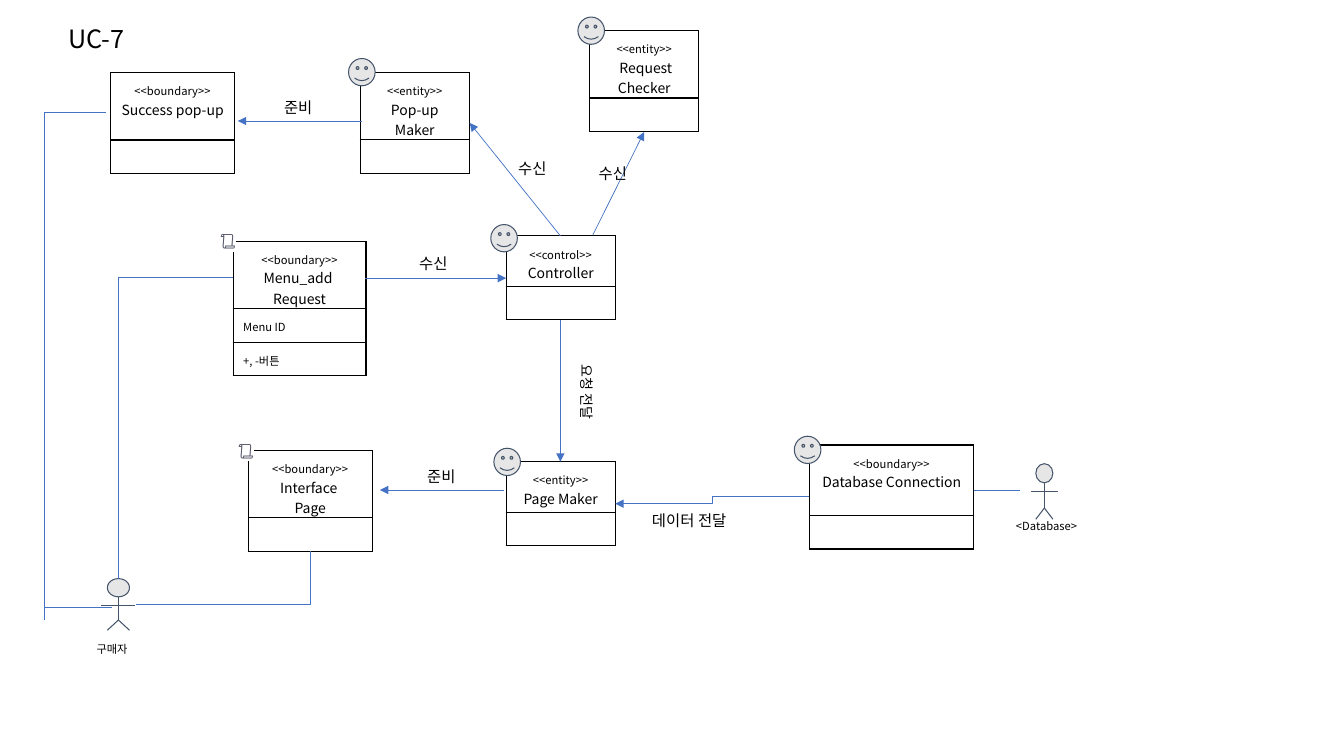
from dataclasses import dataclass

from lxml import etree
from pptx import Presentation
from pptx.dml.color import RGBColor
from pptx.enum import shapes, text
from pptx.oxml.ns import qn
from pptx.util import Pt


@dataclass(frozen=True)
class Theme:
    font: str = "Noto Sans CJK KR"
    ink: str = "000000"
    paper: str = "FFFFFF"
    flow: str = "4472C4"
    edge: str = "44546A"
    face: str = "E7E6E6"
    icon: str = "515365"
    title: int = 18
    sign: int = 12
    label: int = 11
    name: int = 10
    small: int = 8
    thin: float = 0.5
    limb: float = 0.75
    rule: int = 1


T = Theme()
LEFT, MID = text.PP_ALIGN.LEFT, text.PP_ALIGN.CENTER
KIND = shapes.MSO_SHAPE
WIRE = shapes.MSO_CONNECTOR


def rgb(code):
    return RGBColor.from_string(code)


def add(parent, tag, **attrs):
    return etree.SubElement(parent, qn(tag), attrs)


# Text
def write(para, words, size=T.small, color=T.ink, align=LEFT, mark=None):
    para.alignment = align
    run = para.add_run()
    run.text = words
    run.font.size = Pt(size)
    run.font.color.rgb = rgb(color)
    run.font.name = T.font
    props = run._r.get_or_add_rPr()
    if mark:
        glow = etree.Element(qn("a:highlight"))
        add(glow, "a:srgbClr", val=mark)
        props.find(qn("a:solidFill")).addnext(glow)
    for tag in ("a:ea", "a:cs"):
        add(props, tag, typeface=T.font)


def label(slide, words, x, y, w, h, turn=0, **form):
    box = slide.shapes.add_textbox(Pt(x), Pt(y), Pt(w), Pt(h))
    box.rotation = turn
    frame = box.text_frame
    frame.word_wrap = True
    frame.auto_size = text.MSO_AUTO_SIZE.SHAPE_TO_FIT_TEXT
    write(frame.paragraphs[0], words, **form)


# Class boxes
def border(cell):
    props = cell._tc.get_or_add_tcPr()
    for i, side in enumerate(("a:lnL", "a:lnR", "a:lnT", "a:lnB")):
        line = etree.Element(qn(side), w=str(Pt(T.rule)))
        add(add(line, "a:solidFill"), "a:srgbClr", val=T.ink)
        props.insert(i, line)


def card(slide, kind, names, x, y, w, head=48, rows=("",)):
    high = [head] + [24] * len(rows)
    frame = slide.shapes.add_table(len(high), 1, Pt(x), Pt(y), Pt(w), Pt(sum(high)))
    table = frame.table
    table.first_row = table.horz_banding = False
    table.columns[0].width = Pt(w)
    for i, size in enumerate(high):
        table.rows[i].height = Pt(size)
        cell = table.cell(i, 0)
        cell.fill.background()
        cell.margin_top, cell.margin_bottom = Pt(7.2), Pt(0)
        border(cell)
        para = cell.text_frame.paragraphs[0]
        if i:
            para.font.size = Pt(T.small)
            if rows[i - 1]:
                write(para, rows[i - 1])
        else:
            write(para, f"<<{kind}>>", align=MID)
            for name in names:
                write(cell.text_frame.add_paragraph(), name, size=T.name, align=MID)


# Shapes and lines
def shape(slide, kind, x, y, w, h):
    item = slide.shapes.add_shape(kind, Pt(x), Pt(y), Pt(w), Pt(h))
    item.shadow.inherit = False
    item.fill.solid()
    item.fill.fore_color.rgb = rgb(T.face)
    item.line.color.rgb = rgb(T.edge)
    item.line.width = Pt(T.limb)
    return item


def smile(slide, x, y):
    shape(slide, KIND.SMILEY_FACE, x, y, 19, 19.5).adjustments[0] = 0.047


def line(slide, a, b, color=T.flow, width=T.thin, arrow=False, bend=None):
    kind = WIRE.ELBOW if bend else WIRE.STRAIGHT
    wire = slide.shapes.add_connector(kind, *(Pt(v) for v in (*a, *b)))
    wire.line.color.rgb = rgb(color)
    wire.line.width = Pt(width)
    props = wire._element.spPr
    if bend:
        props.find(qn("a:prstGeom")).set("prst", bend)
    if arrow:
        add(props.find(qn("a:ln")), "a:tailEnd", type="triangle")
    add(props, "a:effectLst")


def actor(slide, mid, top, w, h, reach, scale):
    shape(slide, KIND.OVAL, mid - w / 2, top, w, h)
    neck = top + h
    arm, hip, foot = (neck + scale * v for v in (6.5, 18, 26))
    step = reach * 0.65
    for a, b in (
        ((mid, neck), (mid, hip)),
        ((mid, hip), (mid - step, foot)),
        ((mid, hip), (mid + step, foot)),
        ((mid - reach, arm), (mid + reach, arm)),
    ):
        line(slide, a, b, color=T.edge, width=T.limb)


def main():
    deck = Presentation()
    deck.slide_width, deck.slide_height = Pt(960), Pt(540)
    slide = deck.slides.add_slide(deck.slide_layouts[6])
    label(slide, "UC-7", 41.8, 13, 74, 29, size=T.title)

    # Classes
    for kind, names, x, y, w, more in (
        ("control", ["Controller"], 361.5, 168.5, 78, {"head": 36}),
        ("entity", ["Page Maker"], 361.5, 329.8, 78, {"head": 36}),
        ("entity", [" Pop-up ", "Maker"], 257.3, 51.8, 78, {}),
        ("entity", [" Request", "Checker"], 421.2, 22, 78, {}),
        ("boundary", ["Success pop-up"], 79, 52, 88.6, {}),
        ("boundary", ["Interface ", "Page"], 177.3, 321.8, 88.6, {}),
        ("boundary", ["Menu_add ", "Request"], 166.5, 172.5, 95,
         {"rows": ("Menu ID", "+, -버튼")}),
        ("boundary", ["Database Connection"], 578.2, 317.8, 117.4, {"head": 50.4}),
    ):
        card(slide, kind, names, x, y, w, **more)
    for x, y in ((350.6, 160.4), (352.8, 320.2), (249, 41.8), (412.8, 12.2), (567.4, 311.6)):
        smile(slide, x, y)
    for x, y, w in ((162.7, 310.3, 29.5), (149.8, 160.6, 33.8)):
        label(slide, "📜", x, y, w, 26.6, size=T.sign, color=T.icon, mark=T.paper)

    # Actors
    actor(slide, 84.6, 413.3, 15.8, 13, reach=12.2, scale=0.92)
    label(slide, "구매자", 61.9, 455, 44, 22)
    actor(slide, 746, 331.2, 12.2, 13.7, reach=9.4, scale=1)
    label(slide, "<Database>", 718.6, 367.2, 59.8, 24.5)

    # Messages
    for a, b in (
        ((260.6, 198.7), (361.5, 198.7)),
        ((360, 350), (271.4, 350)),
        ((258.5, 86.4), (169.9, 86.4)),
        ((400.3, 228.5), (400.3, 329.8)),
        ((400.3, 168.5), (335.5, 87.8)),
        ((423.4, 168), (460.1, 94.3)),
    ):
        line(slide, a, b, arrow=True)
    line(slide, (578.2, 354.8), (439.5, 359.8), arrow=True, bend="bentConnector3")

    # Links to the actors
    for a, b in (
        ((166.5, 198.3), (84.6, 413.3)),
        ((96.8, 432), (221.6, 393.8)),
        ((75.6, 80), (31.7, 88)),
    ):
        line(slide, a, b, bend="bentConnector2")
    for a, b in (
        ((31.7, 88), (31.7, 442.8)),
        ((31.7, 434.2), (80, 434.2)),
        ((695.6, 350), (728.6, 350)),
    ):
        line(slide, a, b)

    # Message names
    for words, x, y, w in (
        ("수신", 292.3, 177.8, 37.4),
        ("준비", 298, 329.8, 37.4),
        ("준비", 195.8, 66.2, 37.4),
        ("수신", 363, 110.2, 37.4),
        ("수신", 420.5, 113.8, 37.4),
        ("데이터 전달", 458.6, 361.4, 77.8),
    ):
        label(slide, words, x, y, w, 21, size=T.label)
    label(slide, " 요청 전달", 368, 265.7, 95, 26.6, turn=90, size=T.name, align=MID)

    deck.save("out.pptx")


main()
